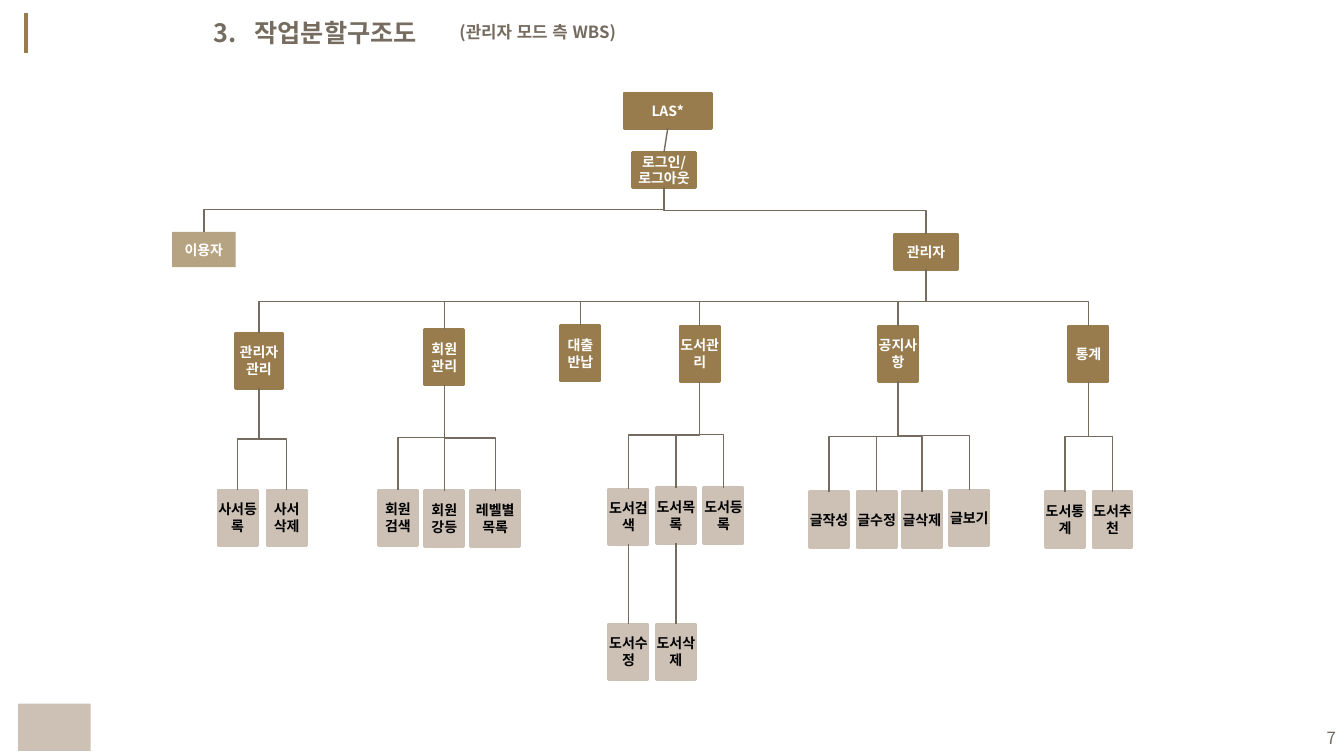
import pptx
import pptx.util
import pptx.dml.color
import pptx.enum.dml
import pptx.enum.lang
import pptx.enum.shapes
import pptx.enum.text
import pptx.oxml.ns
import lxml.etree

Pt = pptx.util.Pt
RGBColor = pptx.dml.color.RGBColor
PP_ALIGN = pptx.enum.text.PP_ALIGN
ANCHOR = pptx.enum.text.MSO_ANCHOR
AUTO_SIZE = pptx.enum.text.MSO_AUTO_SIZE
SHAPE = pptx.enum.shapes.MSO_SHAPE
CONNECTOR = pptx.enum.shapes.MSO_CONNECTOR
qn = pptx.oxml.ns.qn

BROWN = RGBColor(0x98, 0x7C, 0x4D)
GREY = RGBColor(0x75, 0x6B, 0x5F)
BEIGE = RGBColor(0xCD, 0xC1, 0xB6)
WHITE = RGBColor(0xFF, 0xFF, 0xFF)
BLACK = RGBColor(0, 0, 0)
FONT = "Noto Sans CJK KR"

TITLE = "3.\t작업분할구조도"
SUBTITLE = "(관리자 모드 측 WBS)"
PAGE = "7"

# text, parent, centre x, top, width
UPPER = [
    ("LAS*", None, 477, 66.4, 62.6),
    ("로그인/\n로그아웃", "LAS*", 474.3, 108.7, 45.4),
    ("이용자", "로그인/\n로그아웃", 145.6, 165.6, 45.4),
    ("관리자", "로그인/\n로그아웃", 661.5, 167.2, 45.4),
]
MENUS = [
    ("관리자관리", "관리자", 185, 237.8, 33.8),
    ("회원\n관리", "관리자", 317.4, 235.4, 28),
    ("대출\n반납", "관리자", 414.6, 232.6, 28),
    ("도서관리", "관리자", 499.8, 232.8, 28),
    ("공지사항", "관리자", 641.4, 232.8, 28),
    ("통계", "관리자", 777.5, 232.8, 28),
]
TASKS = [
    ("사서등록", "관리자관리", 169.7, 350, 28),
    ("사서\n삭제", "관리자관리", 204.8, 350, 28),
    ("회원\n검색", "회원\n관리", 284.2, 350, 28),
    ("회원\n강등", "회원\n관리", 317.4, 350.6, 28),
    ("레벨별\n목록", "회원\n관리", 353.7, 350.6, 35.3),
    ("도서검색", "도서관리", 448.9, 349.3, 28),
    ("도서목록", "도서관리", 482.8, 348.5, 28),
    ("도서등록", "도서관리", 516.8, 348.5, 28),
    ("글작성", "공지사항", 592.2, 351.2, 28),
    ("글수정", "공지사항", 626.2, 351.2, 28),
    ("글삭제", "공지사항", 658.5, 351.2, 28),
    ("글보기", "공지사항", 692.4, 350, 28),
    ("도서통계", "통계", 760.7, 351.2, 28),
    ("도서추천", "통계", 794.7, 351.2, 28),
    ("도서수정", "도서검색", 448.9, 445.7, 28),
    ("도서삭제", "도서목록", 482.8, 445.7, 28),
]
LEVELS = [(UPPER, 25.2, BROWN, WHITE), (MENUS, 39.6, BROWN, WHITE), (TASKS, 39.6, BEIGE, BLACK)]
MENU_BUS = 215.2
TOP_SITE, BOTTOM_SITE = 0, 2


def format_text(frame, size, color, align, bold=True):
    for paragraph in frame.paragraphs:
        paragraph.alignment = align
        for run in paragraph.runs:
            font = run.font
            font.size, font.bold, font.name = Pt(size), bold, FONT
            font.color.rgb = color
            font.language_id = pptx.enum.lang.MSO_LANGUAGE_ID.KOREAN
            east_asian = lxml.etree.Element(qn("a:ea"), typeface=FONT)
            run._r.rPr.find(qn("a:latin")).addnext(east_asian)


def add_text(slide, left, top, width, height):
    frame = slide.shapes.add_textbox(Pt(left), Pt(top), Pt(width), Pt(height)).text_frame
    frame.word_wrap = True
    return frame


def add_box(slide, text, center, top, width, height, fill, color):
    box = slide.shapes.add_shape(
        SHAPE.RECTANGLE, Pt(center - width / 2), Pt(top), Pt(width), Pt(height))
    box.shadow.inherit = False
    box.fill.solid()
    box.fill.fore_color.rgb = fill
    box.line.color.rgb = fill
    box.line.width = Pt(2)
    frame = box.text_frame
    frame.word_wrap = True
    frame.vertical_anchor = ANCHOR.MIDDLE
    frame.margin_left = frame.margin_right = frame.margin_top = frame.margin_bottom = 0
    frame.text = text
    format_text(frame, 10, color, PP_ALIGN.CENTER)
    return box


def add_line(slide, start, end, color=GREY, width=1, kind=CONNECTOR.STRAIGHT):
    line = slide.shapes.add_connector(kind, *(Pt(v) for v in (*start, *end)))
    line.line.color.rgb = color
    line.line.width = Pt(width)
    lxml.etree.SubElement(line.element.spPr, qn("a:effectLst"))
    return line


def turn_elbow(line, start, end, bend):
    (x1, y1), (x2, y2) = start, end
    drop, run = y2 - y1, abs(x2 - x1)
    line.left, line.top = Pt((x1 + x2 - drop) / 2), Pt((y1 + y2 - run) / 2)
    line.width, line.height = Pt(drop), Pt(run)
    xfrm = line.element.spPr.find(qn("a:xfrm"))
    for flip in ("flipH", "flipV"):
        xfrm.attrib.pop(flip, None)
    xfrm.set("rot", "5400000" if x2 < x1 else "16200000")
    if x2 > x1:
        xfrm.set("flipH", "1")
    guides = line.element.spPr.find(qn("a:prstGeom")).find(qn("a:avLst"))
    ratio = round((bend - y1) / drop * 100000)
    lxml.etree.SubElement(guides, qn("a:gd"), name="adj1", fmla=f"val {ratio}")


def link(slide, parent, child, start, end, bend):
    straight = abs(end[0] - start[0]) < 4
    kind = CONNECTOR.STRAIGHT if straight else CONNECTOR.ELBOW
    line = add_line(slide, start, end, kind=kind)
    line.begin_connect(parent, BOTTOM_SITE)
    line.end_connect(child, TOP_SITE)
    if not straight:
        turn_elbow(line, start, end, bend)


def add_tree(slide):
    boxes, tops, bottoms = {}, {}, {}
    for nodes, height, fill, color in LEVELS:
        for text, _, center, top, width in nodes:
            boxes[text] = add_box(slide, text, center, top, width, height, fill, color)
            tops[text], bottoms[text] = (center, top), (center, top + height)

    visitor = boxes["이용자"]
    visitor.line.fill.background()
    visitor_color = visitor.element.spPr.find(qn("a:solidFill"))[0]
    lxml.etree.SubElement(visitor_color, qn("a:alpha"), val="70000")

    inner_menus = [menu[0] for menu in MENUS[1:-1]]
    for text, parent, center, top, _ in UPPER[1:] + MENUS + TASKS:
        start = bottoms[parent]
        if text in inner_menus:
            drop = add_line(slide, (center, top), (center, MENU_BUS))
            drop.begin_connect(boxes[text], TOP_SITE)
        else:
            bend = MENU_BUS if parent == "관리자" else (start[1] + top) / 2
            link(slide, boxes[parent], boxes[text], start, tops[text], bend)


def add_heading(slide):
    title = slide.shapes.title
    title.left, title.top, title.width, title.height = Pt(145.4), Pt(8.6), Pt(231), Pt(29)
    frame = title.text_frame
    frame.text = TITLE
    frame.word_wrap = True
    frame.vertical_anchor = ANCHOR.TOP
    frame.auto_size = AUTO_SIZE.SHAPE_TO_FIT_TEXT
    format_text(frame, 18, GREY, PP_ALIGN.LEFT)
    tabs = lxml.etree.SubElement(frame.paragraphs[0]._p.get_or_add_pPr(), qn("a:tabLst"))
    lxml.etree.SubElement(tabs, qn("a:tab"), pos=str(Pt(29.25)), algn="l")

    subtitle = add_text(slide, 321.1, 12.2, 129.5, 21.8)
    subtitle.text = SUBTITLE
    subtitle.auto_size = AUTO_SIZE.SHAPE_TO_FIT_TEXT
    format_text(subtitle, 12, GREY, PP_ALIGN.LEFT)


def add_frame(slide):
    add_line(slide, (18.6, 9.4), (18.6, 37.6), BROWN, 3)

    footer_block = slide.shapes.add_shape(
        SHAPE.RECTANGLE, Pt(13), Pt(502.6), Pt(51.8), Pt(33.8))
    footer_block.shadow.inherit = False
    footer_block.fill.solid()
    footer_block.fill.fore_color.rgb = BEIGE
    footer_block.line.fill.background()

    page = add_text(slide, 737.3, 512.6, 224, 28.8)
    page.text = PAGE
    page.vertical_anchor = ANCHOR.MIDDLE
    format_text(page, 12, GREY, PP_ALIGN.RIGHT, False)


def main():
    deck = pptx.Presentation()
    deck.slide_width, deck.slide_height = Pt(960), Pt(540)
    slide = deck.slides.add_slide(deck.slide_layouts[5])
    add_frame(slide)
    add_heading(slide)
    add_tree(slide)
    deck.save("out.pptx")


if __name__ == "__main__":
    main()
